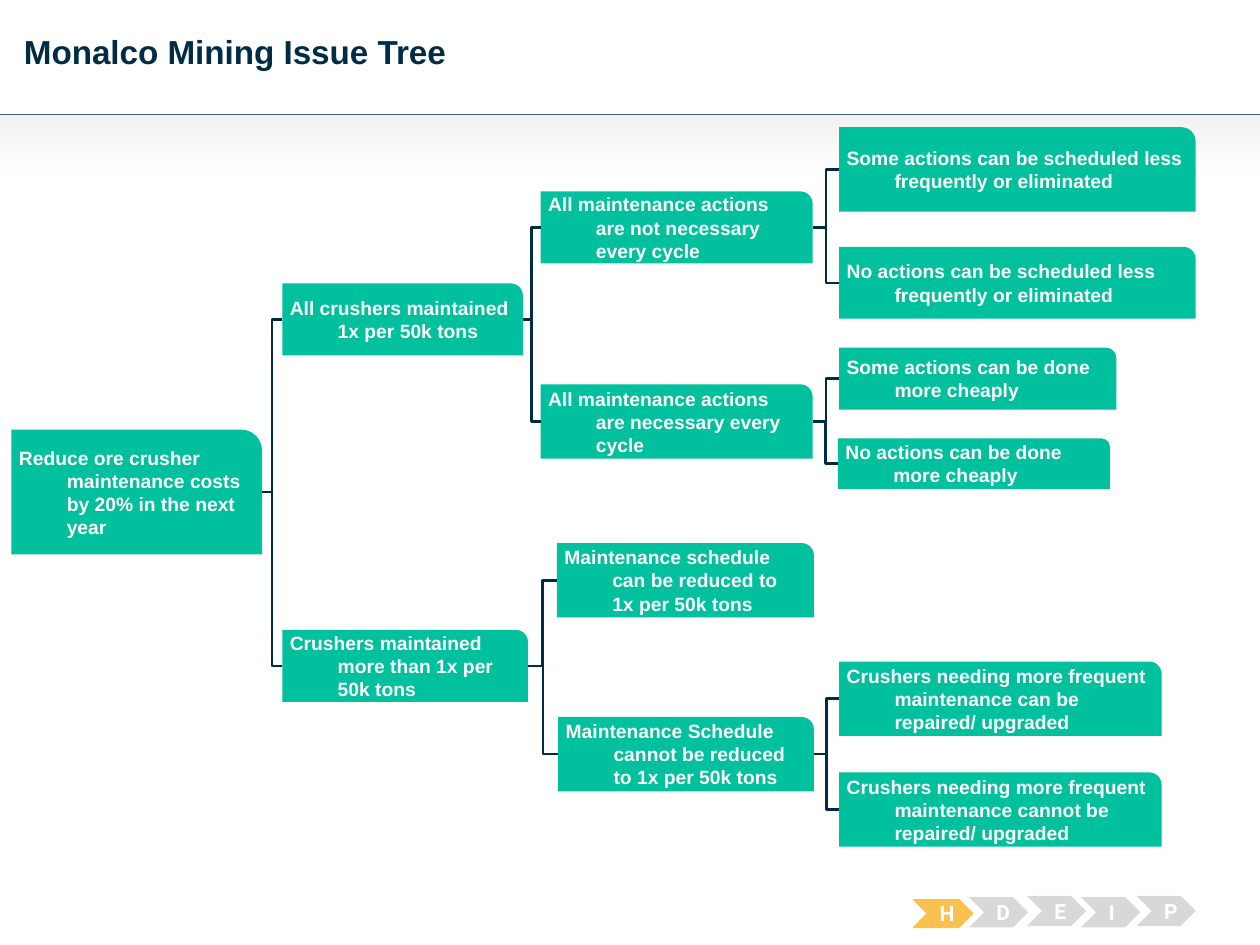
import pptx
import pptx.util
import pptx.dml.color
import pptx.enum.shapes
import pptx.enum.text
import lxml.etree
from pptx.util import Inches

NAVY, TEAL, WHITE = "002C46", "00C09D", "FFFFFF"
AMBER, GREY = "FBC14E", "D8D8D8"
SHAPES = pptx.enum.shapes.MSO_SHAPE
CONNECTORS = pptx.enum.shapes.MSO_CONNECTOR
RIGHT_SITE, LEFT_SITE = 3, 1

# Each issue is (text, box as left, top, width, height, child issues).
ISSUE_TREE = (
    "Reduce ore crusher maintenance costs by 20% in the next year", (0.09, 3.41, 1.99, 0.99), [
        ("All crushers maintained 1x per 50k tons", (2.24, 2.25, 1.91, 0.57), [
            ("All maintenance actions are not necessary every cycle", (4.29, 1.52, 2.16, 0.57), [
                ("Some actions can be scheduled less frequently or eliminated", (6.66, 1.01, 2.83, 0.67), []),
                ("No actions can be scheduled less frequently or eliminated", (6.66, 1.96, 2.83, 0.57), []),
            ]),
            ("All maintenance actions are necessary every cycle", (4.29, 3.05, 2.16, 0.59), [
                ("Some actions can be done more cheaply", (6.66, 2.76, 2.2, 0.49), []),
                ("No actions can be done more cheaply", (6.65, 3.48, 2.16, 0.4), []),
            ]),
        ]),
        ("Crushers maintained more than 1x per 50k tons", (2.24, 5, 1.95, 0.57), [
            ("Maintenance schedule can be reduced to 1x per 50k tons", (4.42, 4.31, 2.04, 0.59), []),
            ("Maintenance Schedule cannot be reduced to 1x per 50k tons", (4.43, 5.69, 2.03, 0.59), [
                ("Crushers needing more frequent maintenance can be repaired/ upgraded", (6.66, 5.25, 2.56, 0.59), []),
                ("Crushers needing more frequent maintenance cannot be repaired/ upgraded", (6.66, 6.13, 2.56, 0.59), []),
            ]),
        ]),
    ])

# Letter and its left, top, height offsets inside the tracker.
STAGES = [("H", 0, 0.03, 0.22), ("D", 0.44, 0.01, 0.24), ("E", 0.9, 0, 0.24),
          ("I", 1.33, 0.01, 0.24), ("P", 1.77, 0, 0.24)]


def color(hex_string):
    return pptx.dml.color.RGBColor.from_string(hex_string)


def add_filled_shape(slide, preset, box, fill):
    shape = slide.shapes.add_shape(preset, *map(Inches, box))
    shape.shadow.inherit = False
    shape.fill.solid()
    shape.fill.fore_color.rgb = color(fill)
    shape.line.fill.background()
    return shape


def add_connector(slide, kind, ends, line_color, width):
    connector = slide.shapes.add_connector(kind, *map(Inches, ends))
    connector.line.color.rgb = color(line_color)
    connector.line.width = pptx.util.Pt(width)
    lxml.etree.SubElement(connector.element.spPr, pptx.oxml.ns.qn("a:effectLst"))
    return connector


def write_text(shape, text, size, font_name, text_color, margins, anchor, alignment):
    """Write one bold run; margins are left, top, right, bottom."""
    frame = shape.text_frame
    frame.word_wrap = True
    frame.vertical_anchor = anchor
    (frame.margin_left, frame.margin_top,
     frame.margin_right, frame.margin_bottom) = map(Inches, margins)
    paragraph = frame.paragraphs[0]
    paragraph.alignment = alignment
    run = paragraph.add_run()
    run.text = text
    run.font.size = pptx.util.Pt(size)
    run.font.name = font_name
    run.font.bold = True
    run.font.color.rgb = color(text_color)
    return paragraph


def add_header(slide, box):
    """Place the title above a rule with a fading band below it."""
    left, top, width, height = box
    rule_top = top + 0.91
    band = add_filled_shape(slide, SHAPES.RECTANGLE,
                            (left, rule_top, width, top + height - rule_top), WHITE)
    band.fill.gradient()
    band.fill.gradient_angle = 270
    for stop, stop_color in zip(band.fill.gradient_stops, ("F2F2F2", WHITE)):
        stop.color.rgb = color(stop_color)
    add_connector(slide, CONNECTORS.STRAIGHT,
                  (left, rule_top, left + width, rule_top), "406085", 0.75)
    title = slide.shapes.add_textbox(*map(Inches, (left + 0.19, top + 0.25, 9.43, 0.33)))
    write_text(title, "Monalco Mining Issue Tree", 19, "Arial", NAVY, (0, 0, 0, 0),
               pptx.enum.text.MSO_ANCHOR.TOP, pptx.enum.text.PP_ALIGN.LEFT)


def add_issue(slide, issue, parent=None):
    """Place an issue, its link from the parent, and all issues below it."""
    text, box, children = issue
    shape = add_filled_shape(slide, SHAPES.ROUND_1_RECTANGLE, box, TEAL)
    margin = 0.05 if parent else 0
    paragraph = write_text(shape, text, 11, "Arial", WHITE, (0.06, margin, margin, margin),
                           pptx.enum.text.MSO_ANCHOR.MIDDLE, pptx.enum.text.PP_ALIGN.LEFT)
    properties = paragraph._p.get_or_add_pPr()
    properties.set("marL", str(Inches(0.38)))
    properties.set("indent", str(-Inches(0.38)))
    if parent:
        link = add_connector(slide, CONNECTORS.ELBOW, (0, 0, 0, 0), NAVY, 1.5)
        link.begin_connect(parent, RIGHT_SITE)
        link.end_connect(shape, LEFT_SITE)
    for child in children:
        add_issue(slide, child, shape)


def add_stage_tracker(slide, left, top, active):
    for letter, across, down, height in STAGES:
        fill = AMBER if letter == active else GREY
        chevron = add_filled_shape(slide, SHAPES.CHEVRON,
                                   (left + across, top + down, 0.47, height), fill)
        if letter == active:
            chevron.line.color.rgb = color(fill)
            chevron.line.width = pptx.util.Pt(0.75)
        write_text(chevron, letter, 12, "Roboto", WHITE, (0.1, 0.05, 0.1, 0.05),
                   pptx.enum.text.MSO_ANCHOR.MIDDLE, pptx.enum.text.PP_ALIGN.CENTER)


def main():
    presentation = pptx.Presentation()
    presentation.slide_width = Inches(10)
    presentation.slide_height = Inches(7.5)
    slide = presentation.slides.add_slide(presentation.slide_layouts[6])
    add_header(slide, (0, 0, 10, 1.43))
    add_issue(slide, ISSUE_TREE)
    add_stage_tracker(slide, 7.25, 7.11, "H")
    presentation.save("out.pptx")


if __name__ == "__main__":
    main()
